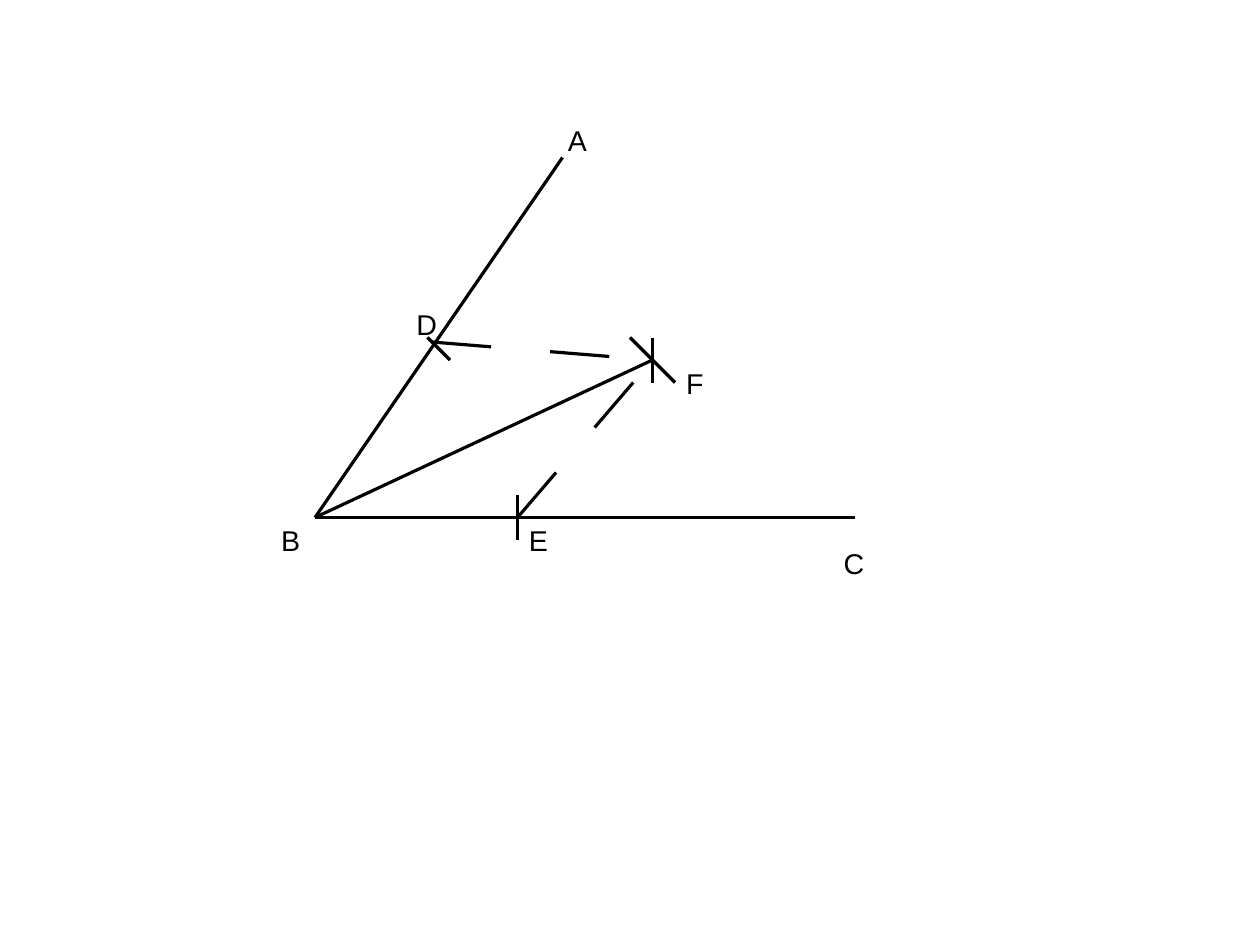
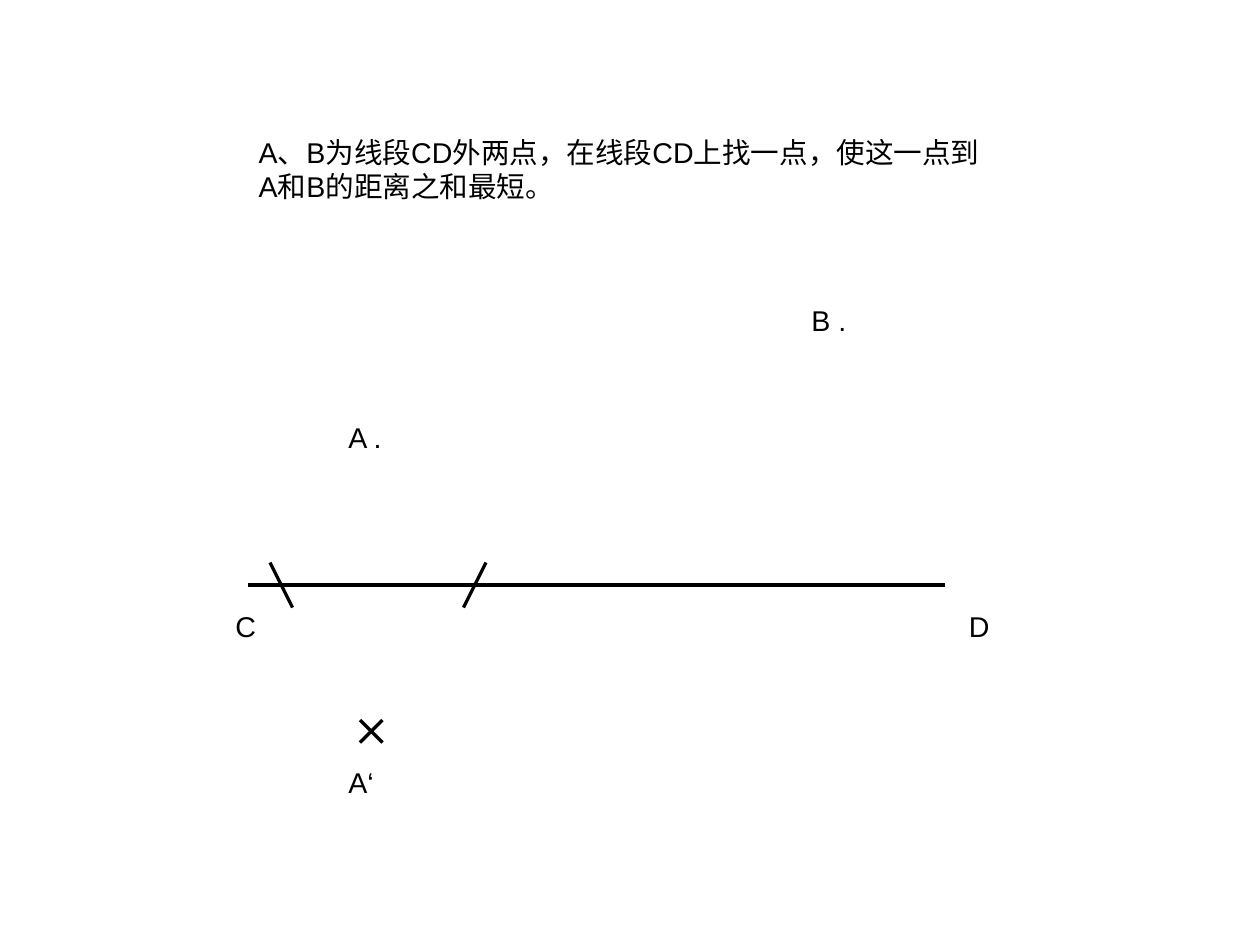
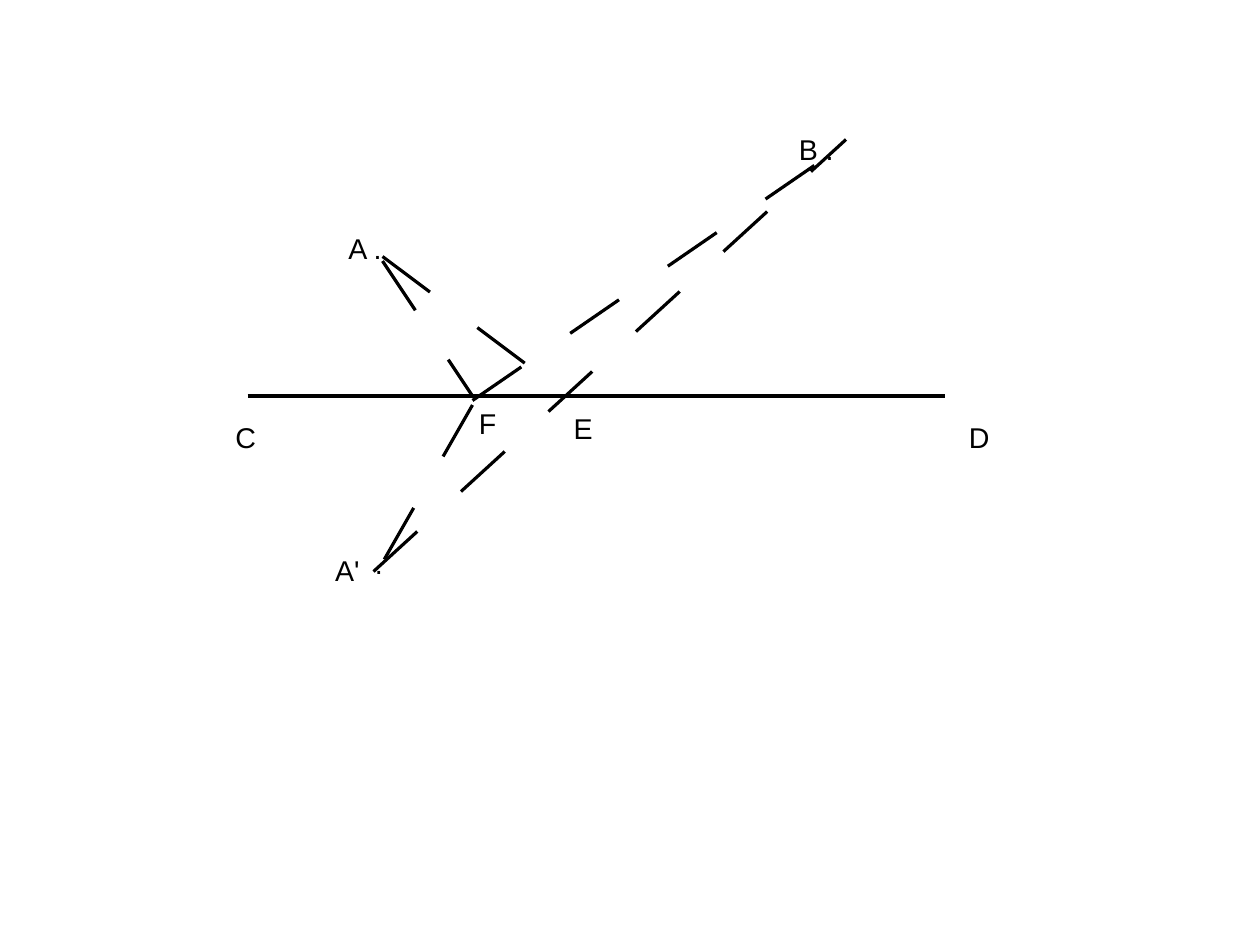
from lxml.etree import SubElement
from pptx import Presentation
from pptx.dml.color import RGBColor as Rgb
from pptx.enum.shapes import MSO_CONNECTOR as Connector
from pptx.enum.text import MSO_AUTO_SIZE as AutoSize
from pptx.oxml.ns import qn
from pptx.util import Cm, Pt

# Shared look, lengths in centimetres
COLORS = {"ink": "000000", "paper": "FFFFFF"}
FONT = {"name": "Arial", "size": Pt(18)}
FRAME = {"word_wrap": False, "auto_size": AutoSize.SHAPE_TO_FIT_TEXT}
LINE_HEIGHT = 0.96
EM = 0.635
SIDE_MARGINS = 0.51
# Letter widths in em
ADVANCE = {"A": 0.67, "B": 0.67, "C": 0.72, "D": 0.72, "E": 0.67, "F": 0.61,
           " ": 0.28, ".": 0.28, "'": 0.19, "‘": 0.22}
# Dash and gap, in thousandths of a percent of the hairline
DASH = {"d": "1855000", "sp": "1855000"}


def set_all(target, values):
    for name, value in values.items():
        setattr(target, name, value)


def add_page(deck):
    page = deck.slides.add_slide(deck.slide_layouts[6])
    fill = page.background.fill
    fill.solid()
    fill.fore_color.rgb = Rgb.from_string(COLORS["paper"])
    return page


def add_text(page, lines, left, top, width, height):
    box = page.shapes.add_textbox(Cm(left), Cm(top), Cm(width), Cm(height))
    frame = box.text_frame
    set_all(frame, FRAME)
    for index, line in enumerate(lines):
        para = frame.add_paragraph() if index else frame.paragraphs[0]
        span = para.add_run()
        span.text = line
        set_all(span.font, FONT)
        span.font.color.rgb = Rgb.from_string(COLORS["ink"])


def add_labels(page, labels):
    for text, left, top in labels:
        width = SIDE_MARGINS + EM * sum(ADVANCE[letter] for letter in text)
        add_text(page, [text], left, top, width, LINE_HEIGHT)


def add_lines(page, segments, dashed=False):
    for start, end in segments:
        connector = page.shapes.add_connector(
            Connector.STRAIGHT, *(Cm(value) for value in start + end))
        connector.line.color.rgb = Rgb.from_string(COLORS["ink"])
        connector.line.width = 0
        properties = connector._element.spPr
        SubElement(properties, qn("a:effectLst"))
        if dashed:
            pattern = SubElement(properties.find(qn("a:ln")), qn("a:custDash"))
            SubElement(pattern, qn("a:ds"), DASH)


def add_segment_cd(page, level):
    add_lines(page, [((5.5, level), (21, level))])
    add_labels(page, [("C", 4.98, level + 0.4), ("D", 21.28, level + 0.4)])


def build_bisector(deck):
    page = add_page(deck)
    vertex, e, f = (7, 11.5), (11.5, 11.5), (14.5, 8)
    # Angle and its bisector
    add_lines(page, [((12.5, 3.5), vertex), (vertex, (19, 11.5)), (vertex, f)])
    # Compass marks at D, E and F
    add_lines(page, [((9.5, 7.5), (10, 8)),
                     ((11.5, 11), (11.5, 12)),
                     ((14.5, 7.5), (14.5, 8.5)),
                     ((14, 7.5), (15, 8.5))])
    add_lines(page, [((9.6, 7.6), f), (e, f)], dashed=True)
    add_labels(page, [("A", 12.37, 2.6), ("B", 6, 11.5), ("C", 18.5, 12),
                      ("D", 9, 6.7), ("E", 11.5, 11.5), ("F", 15, 8)])


def build_problem(deck):
    page = add_page(deck)
    add_text(page, ["A、B为线段CD外两点，在线段CD上找一点，使这一点到",
                    "A和B的距离之和最短。"], 5.5, 2.87, 17.63, 2.08)
    add_segment_cd(page, 13)
    # Compass marks on CD and the cross at the mirror point
    add_lines(page, [((6, 12.5), (6.5, 13.5)),
                     ((10.8, 12.5), (10.3, 13.5)),
                     ((8.5, 16), (8, 16.5)),
                     ((8, 16), (8.5, 16.5))])
    add_labels(page, [("B .", 17.78, 6.6), ("A .", 7.49, 9.2),
                      ("A‘", 7.49, 16.87)])


def build_proof(deck):
    page = add_page(deck)
    add_segment_cd(page, 8.8)
    # Paths through E and F
    add_lines(page, [((8.3, 12.7), (18.8, 3.1)),
                     ((8.5, 5.8), (10.5, 8.8)),
                     ((10.5, 8.9), (18.5, 3.4)),
                     ((10.5, 9), (8.5, 12.5)),
                     ((8.5, 5.7), (12.5, 8.7))], dashed=True)
    add_labels(page, [("B .", 17.5, 2.8), ("A .", 7.49, 5), (".", 8.08, 12),
                      ("A'", 7.2, 12.17), ("E", 12.5, 9), ("F", 10.39, 8.9)])


def main():
    deck = Presentation()
    set_all(deck, {"slide_width": Cm(28), "slide_height": Cm(21)})
    for build in (build_bisector, build_problem, build_proof):
        build(deck)
    deck.save("out.pptx")


if __name__ == "__main__":
    main()
